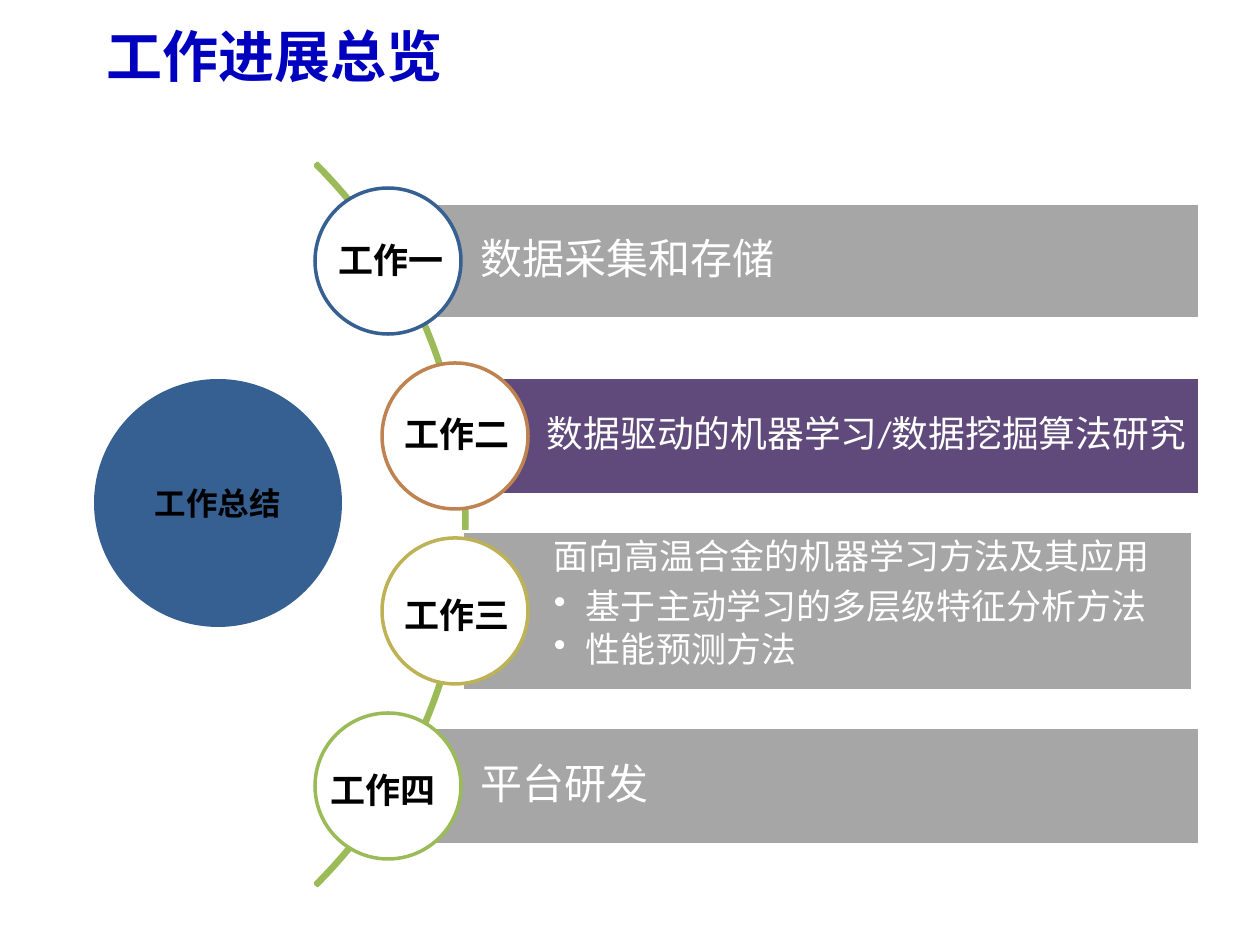
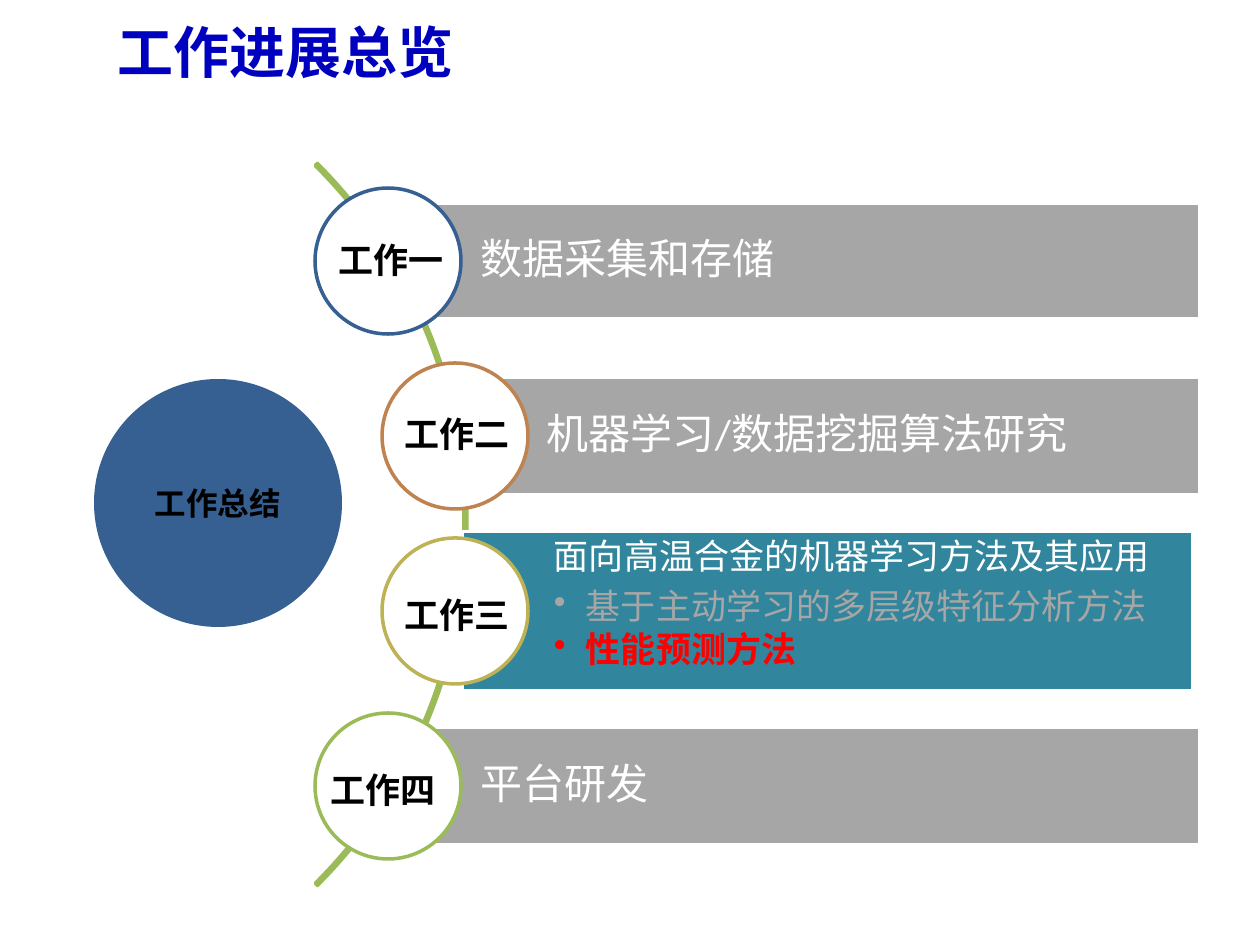
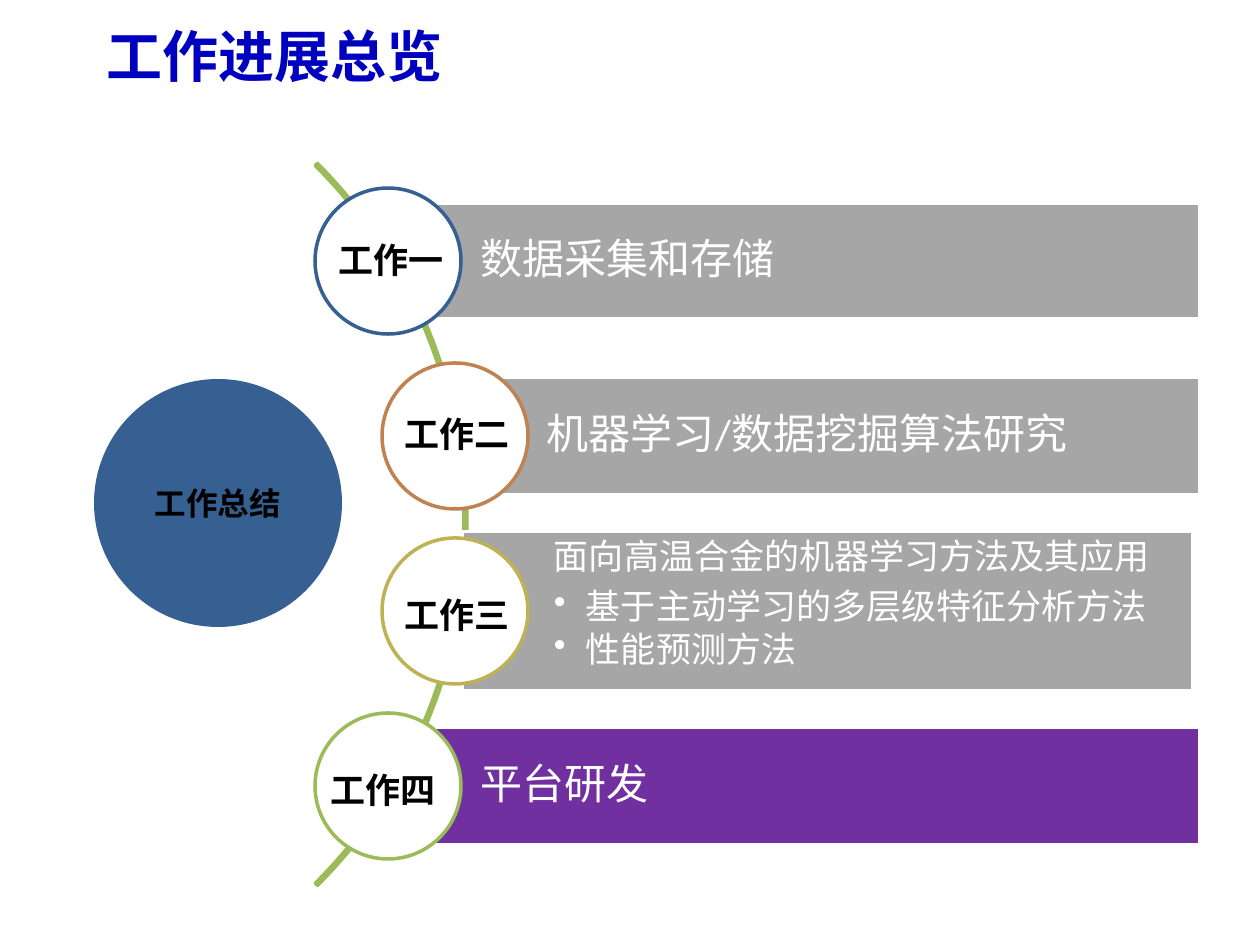
from lxml.etree import SubElement
from pptx import Presentation
from pptx.dml.color import RGBColor
from pptx.enum.shapes import MSO_SHAPE
from pptx.enum.text import MSO_ANCHOR, MSO_AUTO_SIZE, PP_ALIGN
from pptx.oxml.ns import qn
from pptx.util import Emu, Pt

EMU_PER_PX = 914400 / 126

WHITE = RGBColor(0xFF, 0xFF, 0xFF)
BLACK = RGBColor(0x00, 0x00, 0x00)
RED = RGBColor(0xFF, 0x00, 0x00)
GREY = RGBColor(0xA6, 0xA6, 0xA6)
TITLE_BLUE = RGBColor(0x00, 0x00, 0xBF)
BLUE = RGBColor(0x37, 0x60, 0x92)
ORANGE = RGBColor(0xBE, 0x83, 0x51)
OLIVE = RGBColor(0xBD, 0xB2, 0x55)
GREEN = RGBColor(0x9B, 0xBB, 0x59)
PLUM = RGBColor(0x60, 0x4A, 0x7B)
TEAL = RGBColor(0x31, 0x85, 0x9C)
VIOLET = RGBColor(0x70, 0x30, 0xA0)

TITLE_FONT = "Noto Sans CJK SC"
BODY_FONT = "Calibri"

FIRST_CENTER, ROW_PITCH = 261, 175
CIRCLE_SIZE = 146
BAR_INSETS = (92, 8, 8, 8)

# Per row: circle centre x, circle colour, bar (left, width, height), label, label box
ROWS = [
    (388, BLUE, (388, 812, 115), "工作一", (326, 232, 140, 55)),
    (455, ORANGE, (455, 745, 117), "工作二", (392, 406, 134, 55)),
    (455, OLIVE, (462, 731, 159), "工作三", (392, 587, 149, 55)),
    (388, GREEN, (388, 812, 117), "工作四", (318, 762, 149, 55)),
]

COLLECTION = "数据采集和存储"
LEARNING = "机器学习/数据挖掘算法研究"
PLATFORM = "平台研发"
ALLOY = "面向高温合金的机器学习方法及其应用"
METHODS = ["基于主动学习的多层级特征分析方法", "性能预测方法"]


def px(length):
    return Emu(round(length * EMU_PER_PX))


def set_font(paragraph, size, color, bold=False, name=BODY_FONT):
    font = paragraph.font
    font.name, font.size, font.bold = name, Pt(size), bold
    font.color.rgb = color


class Deck:
    def __init__(self):
        self.presentation = Presentation()
        self.presentation.slide_width = px(1260)
        self.presentation.slide_height = px(945)
        self.slide = None

    def add_slide(self, title, left, top):
        layout = self.presentation.slide_layouts[5]
        self.slide = self.presentation.slides.add_slide(layout)
        shape = self.slide.shapes.title
        shape.left, shape.top, shape.width, shape.height = map(px, (left, top, 1134, 110))
        shape.text_frame.text = title
        shape.text_frame.vertical_anchor = MSO_ANCHOR.MIDDLE
        paragraph = shape.text_frame.paragraphs[0]
        paragraph.alignment = PP_ALIGN.LEFT
        set_font(paragraph, 32, TITLE_BLUE, True, TITLE_FONT)

    def shape(self, kind, box, fill=None, line=None):
        shape = self.slide.shapes.add_shape(kind, *map(px, box))
        shape.shadow.inherit = False
        if fill is None:
            shape.fill.background()
        else:
            shape.fill.solid()
            shape.fill.fore_color.rgb = fill
        if line is None:
            shape.line.fill.background()
        else:
            shape.line.color.rgb = line
            shape.line.width = Pt(2)
        return shape

    def arc(self, box):
        arc = self.shape(MSO_SHAPE.BLOCK_ARC, box, line=GREEN)
        for index, value in enumerate((189, 27, 0.003)):
            arc.adjustments[index] = value

    def summary(self, text, box):
        circle = self.shape(MSO_SHAPE.OVAL, box, BLUE)
        frame = circle.text_frame
        frame.text = text
        frame.vertical_anchor = MSO_ANCHOR.MIDDLE
        frame.paragraphs[0].alignment = PP_ALIGN.CENTER
        set_font(frame.paragraphs[0], 18, BLACK, True)

    def label(self, text, box):
        frame = self.slide.shapes.add_textbox(*map(px, box)).text_frame
        frame.word_wrap = True
        frame.auto_size = MSO_AUTO_SIZE.SHAPE_TO_FIT_TEXT
        frame.text = text
        set_font(frame.paragraphs[0], 20, BLACK, True)

    def bar(self, box, fill, heading, size, bullets=()):
        """Draw a bar; bullets are (text, color, bold) below its heading."""
        frame = self.shape(MSO_SHAPE.RECTANGLE, box, fill, WHITE).text_frame
        frame.word_wrap = True
        frame.vertical_anchor = MSO_ANCHOR.TOP if bullets else MSO_ANCHOR.MIDDLE
        (frame.margin_left, frame.margin_top,
         frame.margin_right, frame.margin_bottom) = map(px, BAR_INSETS)
        frame.text = heading
        self.bar_paragraph(frame.paragraphs[0], size, 0.35, WHITE)
        for text, color, bold in bullets:
            paragraph = frame.add_paragraph()
            paragraph.text = text
            paragraph.level = 1
            self.bar_paragraph(paragraph, size, 0.15, color, bold, bullet=True)

    def bar_paragraph(self, paragraph, size, gap, color, bold=False, bullet=False):
        paragraph.alignment = PP_ALIGN.LEFT
        paragraph.line_spacing = 0.9
        paragraph.space_after = Pt(size * gap)
        if bullet:
            properties = paragraph._p.get_or_add_pPr()
            properties.set("marL", str(px(32)))
            properties.set("indent", str(-px(32)))
            SubElement(properties, qn("a:buChar")).set("char", "•")
        set_font(paragraph, size, color, bold)

    def overview(self, bars):
        """Draw the arc, the summary circle and one row for each bar."""
        self.summary("工作总结", (94, 379, 248, 248))
        self.arc((-554, 14, 1021, 1021))
        for index, (row, content) in enumerate(zip(ROWS, bars)):
            center_x, color, (left, width, height), label, label_box = row
            center_y = FIRST_CENTER + index * ROW_PITCH
            self.bar((left, center_y - height / 2, width, height), *content)
            radius = CIRCLE_SIZE / 2
            self.shape(MSO_SHAPE.OVAL,
                       (center_x - radius, center_y - radius, CIRCLE_SIZE, CIRCLE_SIZE),
                       WHITE, color)
            self.label(label, label_box)


def main():
    deck = Deck()
    collection = (GREY, COLLECTION, 24)
    learning = (GREY, LEARNING, 24)
    platform = (GREY, PLATFORM, 24)
    alloy = (GREY, ALLOY, 20, [(method, WHITE, False) for method in METHODS])
    learning_active = (PLUM, "数据驱动的机器学习/数据挖掘算法研究", 21)
    alloy_active = (TEAL, ALLOY, 20, [(METHODS[0], GREY, False), (METHODS[1], RED, True)])
    platform_active = (VIOLET, PLATFORM, 24)

    slides = [
        ((94, 0), (collection, learning_active, alloy, platform)),
        ((105, -4), (collection, learning, alloy_active, platform)),
        ((94, 0), (collection, learning, alloy, platform_active)),
    ]
    for title_position, bars in slides:
        deck.add_slide("工作进展总览", *title_position)
        deck.overview(bars)
    deck.presentation.save("out.pptx")


if __name__ == "__main__":
    main()
